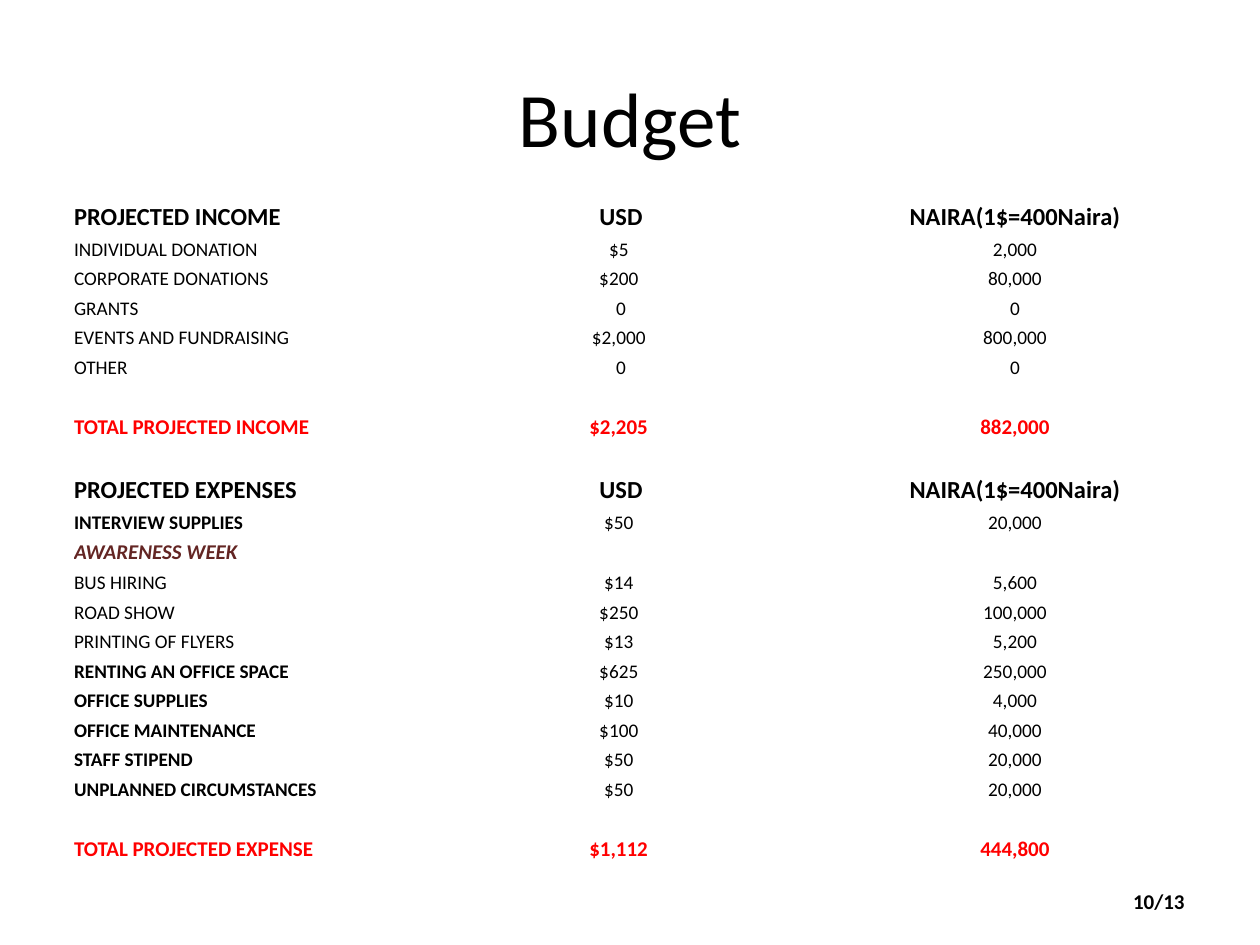
from pptx import Presentation
from pptx.dml.color import RGBColor
from pptx.enum.text import MSO_ANCHOR as Anchor, PP_ALIGN as Align
from pptx.oxml.ns import qn
from pptx.util import Pt
from lxml.etree import SubElement

SCALE = 914400 // 126
BLACK, RED, MAROON = "000000", "FF0000", "632523"


def px(length):
    return round(length * SCALE)


def color(value):
    return RGBColor.from_string(value)


def write(frame, text, size=11, bold=False, italic=False, ink=BLACK,
          align=Align.LEFT, font="Calibri"):
    para = frame.paragraphs[0]
    para.alignment = align
    if not text:
        SubElement(para._p, qn("a:endParaRPr"), sz=str(size * 100))
        return
    span = para.add_run()
    span.text = text
    span.font.name = font
    span.font.size = Pt(size)
    span.font.bold = bold
    span.font.italic = italic
    span.font.color.rgb = color(ink)


class Deck:
    def __init__(self, width, height):
        self.deck = Presentation()
        self.deck.slide_width = px(width)
        self.deck.slide_height = px(height)
        self.page = self.deck.slides.add_slide(self.deck.slide_layouts[6])

    def text(self, left, top, width, height, text, **style):
        box = self.page.shapes.add_textbox(px(left), px(top), px(width), px(height))
        box.text_frame.word_wrap = True
        box.text_frame.vertical_anchor = Anchor.MIDDLE
        write(box.text_frame, text, **style)

    def table(self, left, top, widths, heights, rows):
        frame = self.page.shapes.add_table(
            len(rows), len(widths), px(left), px(top), px(sum(widths)), px(sum(heights)))
        table = frame.table
        table.first_row = table.horz_banding = False
        for column, width in zip(table.columns, widths):
            column.width = px(width)
        for row, height, (kind, *texts) in zip(table.rows, heights, rows):
            row.height = px(height)
            label_style, value_style = STYLES[kind]
            for index, (cell, text) in enumerate(zip(row.cells, texts)):
                cell.fill.background()
                cell.vertical_anchor = Anchor.BOTTOM
                cell.margin_left = cell.margin_right = cell.margin_top = px(1)
                cell.margin_bottom = 0
                if index:
                    write(cell.text_frame, text, align=Align.CENTER, **value_style)
                else:
                    write(cell.text_frame, text, **label_style)

    def save(self):
        self.deck.save("out.pptx")


HEADING = dict(size=14, bold=True)
TOTAL = dict(size=12, bold=True, ink=RED)
STYLES = {
    "heading": (HEADING, HEADING),
    "total": (TOTAL, TOTAL),
    "group": (dict(size=12, bold=True, italic=True, ink=MAROON), {}),
    "item": ({}, {}),
    "strong": (dict(bold=True), {}),
}
GAP = ("item", "", "", "")
BUDGET = [
    ("heading", "PROJECTED INCOME", "USD", "NAIRA(1$=400Naira)"),
    ("item", "INDIVIDUAL DONATION", "$5 ", "2,000"),
    ("item", "CORPORATE DONATIONS", "$200 ", "80,000"),
    ("item", "GRANTS", "0", "0"),
    ("item", "EVENTS AND FUNDRAISING", "$2,000 ", "800,000"),
    ("item", "OTHER", "0", "0"),
    GAP,
    ("total", "TOTAL PROJECTED INCOME", "$2,205 ", "882,000"),
    GAP,
    ("heading", "PROJECTED EXPENSES", "USD", "NAIRA(1$=400Naira)"),
    ("strong", "INTERVIEW SUPPLIES", "$50 ", "20,000"),
    ("group", "AWARENESS WEEK", "", ""),
    ("item", "BUS HIRING", "$14 ", "5,600"),
    ("item", "ROAD SHOW", "$250 ", "100,000"),
    ("item", "PRINTING OF FLYERS", "$13 ", "5,200"),
    ("strong", "RENTING AN OFFICE SPACE", "$625 ", "250,000"),
    ("strong", "OFFICE SUPPLIES", "$10 ", "4,000"),
    ("strong", "OFFICE MAINTENANCE", "$100 ", "40,000"),
    ("strong", "STAFF STIPEND", "$50 ", "20,000"),
    ("strong", "UNPLANNED CIRCUMSTANCES", "$50 ", "20,000"),
    GAP,
    ("total", "TOTAL PROJECTED EXPENSE", "$1,112 ", "444,800"),
]
TABLE_HEIGHT, FIRST_HEIGHT = 683, 53
TALL = {"heading": 36, "total": 31, "group": 31}

fixed = [FIRST_HEIGHT] + [TALL.get(kind, 0) for kind, *_ in BUDGET[1:]]
item_height = (TABLE_HEIGHT - sum(fixed)) / fixed.count(0)
row_heights = [height or item_height for height in fixed]

budget = Deck(1260, 945)
budget.text(63, 38, 1134, 158, "Budget", size=44, align=Align.CENTER)
budget.table(73, 179, [335, 426, 362], row_heights, BUDGET)
budget.text(903, 876, 294, 50, "10/13", size=12, bold=True, align=Align.RIGHT)
budget.save()
